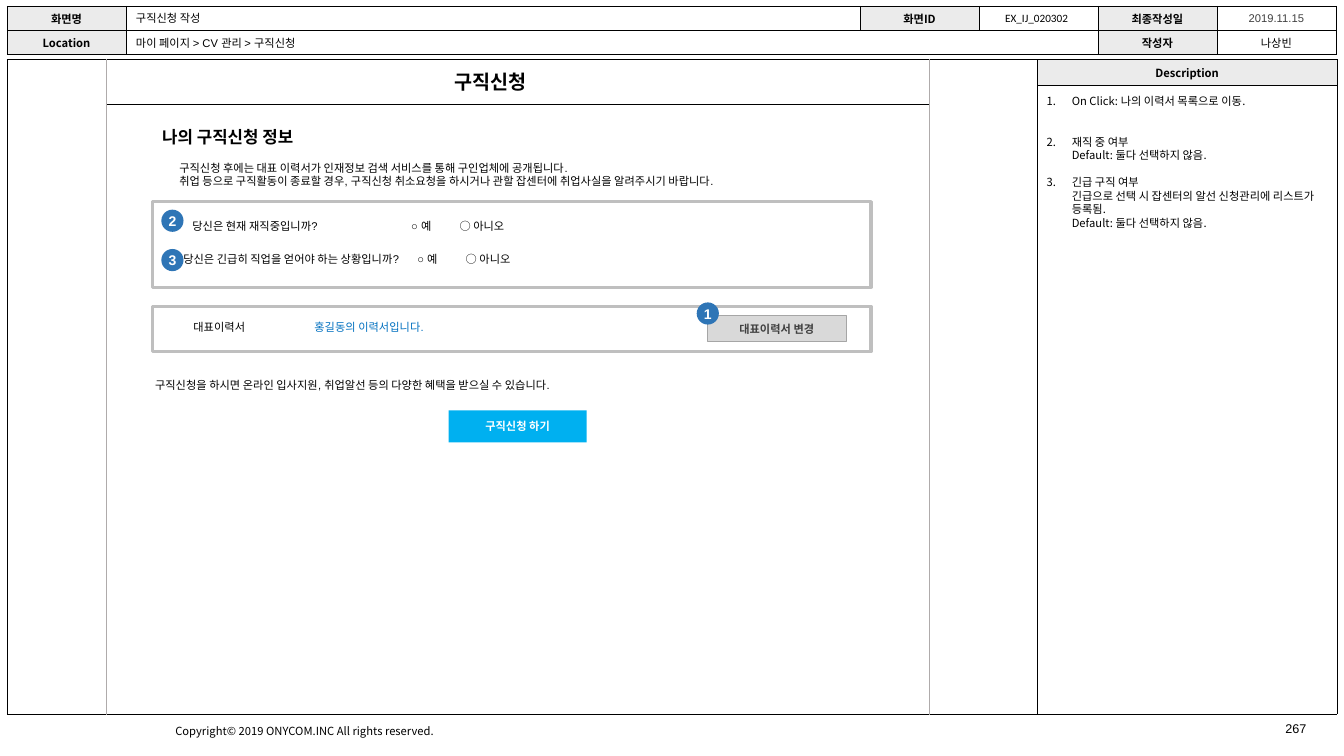
from lxml.etree import SubElement
from pptx import Presentation
from pptx.dml.color import RGBColor
from pptx.enum.shapes import MSO_CONNECTOR, MSO_SHAPE
from pptx.enum.text import MSO_ANCHOR, MSO_AUTO_SIZE, PP_ALIGN
from pptx.oxml.ns import qn
from pptx.util import Inches, Pt

COLORS = {
    "black": "000000", "white": "FFFFFF", "head": "EBEBEB", "dark": "404040",
    "frame": "BFBFBF", "side": "AFABAB", "gray": "D9D9D9", "edge": "A6A6A6",
    "sky": "00B0F0", "badge": "2E75B6", "link": "0070C0",
}
NOTO = "Noto Sans CJK KR"


def rgb(name):
    return RGBColor.from_string(COLORS[name])


class Screen:
    """Style of the screen sheet and the slide being filled."""

    def __init__(self, slide, font="Arial", size=8):
        self.slide, self.font, self.size = slide, font, size

    def run(self, para, text, color="black", size=None, bold=False, font=None):
        run = para.add_run()
        run.text = text
        run.font.name = font or self.font
        run.font.size = Pt(size or self.size)
        run.font.bold = bold
        run.font.color.rgb = rgb(color)

    def frame(self, shape, box, wrap=True):
        shape.left, shape.top, shape.width, shape.height = map(Inches, box)
        frame = shape.text_frame
        frame.word_wrap = wrap
        frame.auto_size = MSO_AUTO_SIZE.NONE
        frame.vertical_anchor = MSO_ANCHOR.TOP
        return frame

    def tabs(self, para, stops):
        tabs = SubElement(para._p.get_or_add_pPr(), qn("a:tabLst"))
        for stop in stops:
            SubElement(tabs, qn("a:tab"), pos=str(Inches(stop)), algn="l")

    def text(self, box, *lines, wrap=True, stops=(), **style):
        shape = self.slide.shapes.add_textbox(0, 0, 0, 0)
        frame = self.frame(shape, box, wrap)
        for i, line in enumerate(lines):
            para = frame.add_paragraph() if i else frame.paragraphs[0]
            if stops:
                self.tabs(para, stops)
            self.run(para, line, **style)
        return frame.paragraphs[0]

    def title(self, box, text, size):
        shape = self.slide.shapes.title
        shape.element.getparent().append(shape.element)
        para = self.frame(shape, box).paragraphs[0]
        para.alignment = PP_ALIGN.LEFT
        self.run(para, text, size=size, bold=True)

    def list(self, box, items, pitch):
        shape = self.slide.placeholders[1]
        shape.element.getparent().append(shape.element)
        frame = self.frame(shape, box)
        frame.margin_left = Inches(0.08)
        frame.margin_top = frame.margin_right = frame.margin_bottom = Inches(0.04)
        for i, (gap, lines) in enumerate(items):
            para = frame.add_paragraph() if i else frame.paragraphs[0]
            props = para._p.get_or_add_pPr()
            props.set("marL", str(Inches(0.25)))
            props.set("indent", str(-Inches(0.25)))
            SubElement(props, qn("a:buFont"), typeface=NOTO)
            SubElement(props, qn("a:buAutoNum"), type="arabicPeriod")
            para.line_spacing = Pt(pitch)
            para.space_before = Pt(gap * pitch)
            for j, line in enumerate(lines):
                if j:
                    para.add_line_break()
                self.run(para, line, font=NOTO)

    def shape(self, kind, box, fill, line=None, width=0, label="", **style):
        shape = self.slide.shapes.add_shape(kind, *map(Inches, box))
        shape.shadow.inherit = False
        shape.fill.solid()
        shape.fill.fore_color.rgb = rgb(fill)
        if line:
            shape.line.color.rgb = rgb(line)
            shape.line.width = Pt(width)
        else:
            shape.line.fill.background()
        if label:
            frame = shape.text_frame
            frame.margin_left = frame.margin_right = 0
            frame.margin_top = frame.margin_bottom = 0
            frame.vertical_anchor = MSO_ANCHOR.MIDDLE
            para = frame.paragraphs[0]
            para.alignment = PP_ALIGN.CENTER
            self.run(para, label, bold=True, **style)

    def badge(self, left, top, label):
        self.shape(MSO_SHAPE.OVAL, (left, top, 0.22, 0.22), "badge",
                   label=label, color="white", size=10)

    def rule(self, x1, y1, x2, y2, color, width):
        line = self.slide.shapes.add_connector(
            MSO_CONNECTOR.STRAIGHT, *map(Inches, (x1, y1, x2, y2)))
        line.line.color.rgb = rgb(color)
        line.line.width = Pt(width)
        SubElement(line._element.spPr, qn("a:effectLst"))

    def table(self, left, top, cols, rows, heads, values, merge):
        table = self.slide.shapes.add_table(
            len(rows), len(cols), Inches(left), Inches(top),
            Inches(sum(cols)), Inches(sum(rows))).table
        table.first_row = table.horz_banding = False
        for col, width in zip(table.columns, cols):
            col.width = Inches(width)
        for row, height in zip(table.rows, rows):
            row.height = Inches(height)
        for r in range(len(rows)):
            for c in range(len(cols)):
                head = heads.get((r, c))
                self.cell(table.cell(r, c), head, values.get((r, c)))
        table.cell(*merge[0]).merge(table.cell(*merge[1]))

    def cell(self, cell, head, value):
        props = cell._tc.get_or_add_tcPr()
        for side in ("lnL", "lnR", "lnT", "lnB"):
            line = SubElement(props, qn("a:" + side), w=str(Pt(0.25)))
            fill = SubElement(line, qn("a:solidFill"))
            SubElement(fill, qn("a:srgbClr"), val=COLORS["black"])
        cell.fill.solid()
        cell.fill.fore_color.rgb = rgb("head" if head else "white")
        cell.margin_left = cell.margin_right = Inches(0.01)
        cell.margin_top = cell.margin_bottom = Inches(0.01)
        cell.vertical_anchor = MSO_ANCHOR.MIDDLE
        para = cell.text_frame.paragraphs[0]
        para.alignment = PP_ALIGN.CENTER
        if head:
            self.run(para, head, bold=True, font=NOTO)
        elif value:
            self.run(para, value[0], color=value[1])
        else:
            SubElement(para._p, qn("a:endParaRPr"), sz=str(self.size * 100))


def main():
    prs = Presentation()
    prs.slide_width, prs.slide_height = Inches(13.33), Inches(7.5)
    page = Screen(prs.slides.add_slide(prs.slide_layouts[1]))
    rect = MSO_SHAPE.RECTANGLE

    # Sheet frame and header
    page.text((1.64, 7.14, 2.87, 0.24), "Copyright© 2019 ONYCOM.INC All rights reserved.",
              wrap=False, font=NOTO)
    page.table(0.07, 0.59, [10.22, 2.97], [0.25, 6.24],
               {(0, 1): "Description"}, {}, ((0, 0), (1, 0)))
    page.table(0.07, 0.06, [1.18, 7.28] + [1.18] * 4, [0.24, 0.24],
               {(0, 0): "화면명", (0, 2): "화면ID", (0, 4): "최종작성일",
                (1, 0): "Location", (1, 4): "작성자"},
               {(0, 5): ("2019.11.15", "dark"), (1, 5): ("나상빈", "black")},
               ((1, 1), (1, 3)))
    page.rule(1.05, 1.03, 9.22, 1.03, "black", 0.25)
    for x in (1.05, 9.22):
        page.rule(x, 0.59, x, 7.09, "side", 0.5)
    page.text((1.25, 0.06, 3.81, 0.24), "구직신청 작성")
    page.text((1.25, 0.31, 3.81, 0.24), "마이 페이지 > CV 관리 > 구직신청")
    page.text((9.87, 0.06, 0.83, 0.24), "EX_IJ_020302", wrap=False, font="Calibri")
    page.text((12.65, 7.1, 0.56, 0.4), "267", size=9)

    # Title and description list
    page.title((4.41, 0.64, 1.76, 0.34), "구직신청", 14)
    page.list((10.3, 0.9, 3.03, 1.56), [
        (0, ["On Click: 나의 이력서 목록으로 이동."]),
        (2, ["재직 중 여부 ", "Default: 둘다 선택하지 않음."]),
        (1, ["긴급 구직 여부", "긴급으로 선택 시 잡센터의 알선 신청관리에 리스트가 등록됨. ",
             "Default: 둘다 선택하지 않음."]),
    ], 9.6)

    # Introduction
    page.text((1.51, 1.21, 2.31, 0.24), "나의 구직신청 정보", size=12, bold=True)
    page.text((1.68, 1.55, 6.3, 0.37),
              "구직신청 후에는 대표 이력서가 인재정보 검색 서비스를 통해 구인업체에 공개됩니다.",
              "취업 등으로 구직활동이 종료할 경우, 구직신청 취소요청을 하시거나 "
              "관할 잡센터에 취업사실을 알려주시기 바랍니다.")

    # Questions
    page.shape(rect, (1.51, 2, 7.13, 0.85), "white", "frame", 2.25)
    page.text((1.81, 2.13, 5.57, 0.24), "당신은 현재 재직중입니까?\t○ 예\t○ 아니오",
              stops=(2.17, 2.65))
    page.text((1.72, 2.45, 6.39, 0.24),
              "당신은 긴급히 직업을 얻어야 하는 상황입니까?\t○ 예\t○ 아니오",
              stops=(2.32, 2.8))

    # Main resume
    page.shape(rect, (1.51, 3.04, 7.13, 0.45), "white", "frame", 2.25)
    resume = page.text((1.82, 3.13, 6.41, 0.24), "대표이력서\t", stops=(1.2,))
    page.run(resume, "홍길동의 이력서입니다.", color="link")
    page.shape(rect, (7.02, 3.13, 1.37, 0.26), "gray", "edge", 0.5,
               label="대표이력서 변경", color="dark")

    # Apply
    page.text((1.44, 3.7, 6.3, 0.24),
              "구직신청을 하시면 온라인 입사지원, 취업알선 등의 다양한 혜택을 받으실 수 있습니다.")
    page.shape(rect, (4.45, 4.07, 1.37, 0.32), "sky", label="구직신청 하기", color="white")

    # Number badges
    for left, top, label in ((6.91, 3, "1"), (1.6, 2.08, "2"), (1.6, 2.47, "3")):
        page.badge(left, top, label)

    prs.save("out.pptx")


if __name__ == "__main__":
    main()
